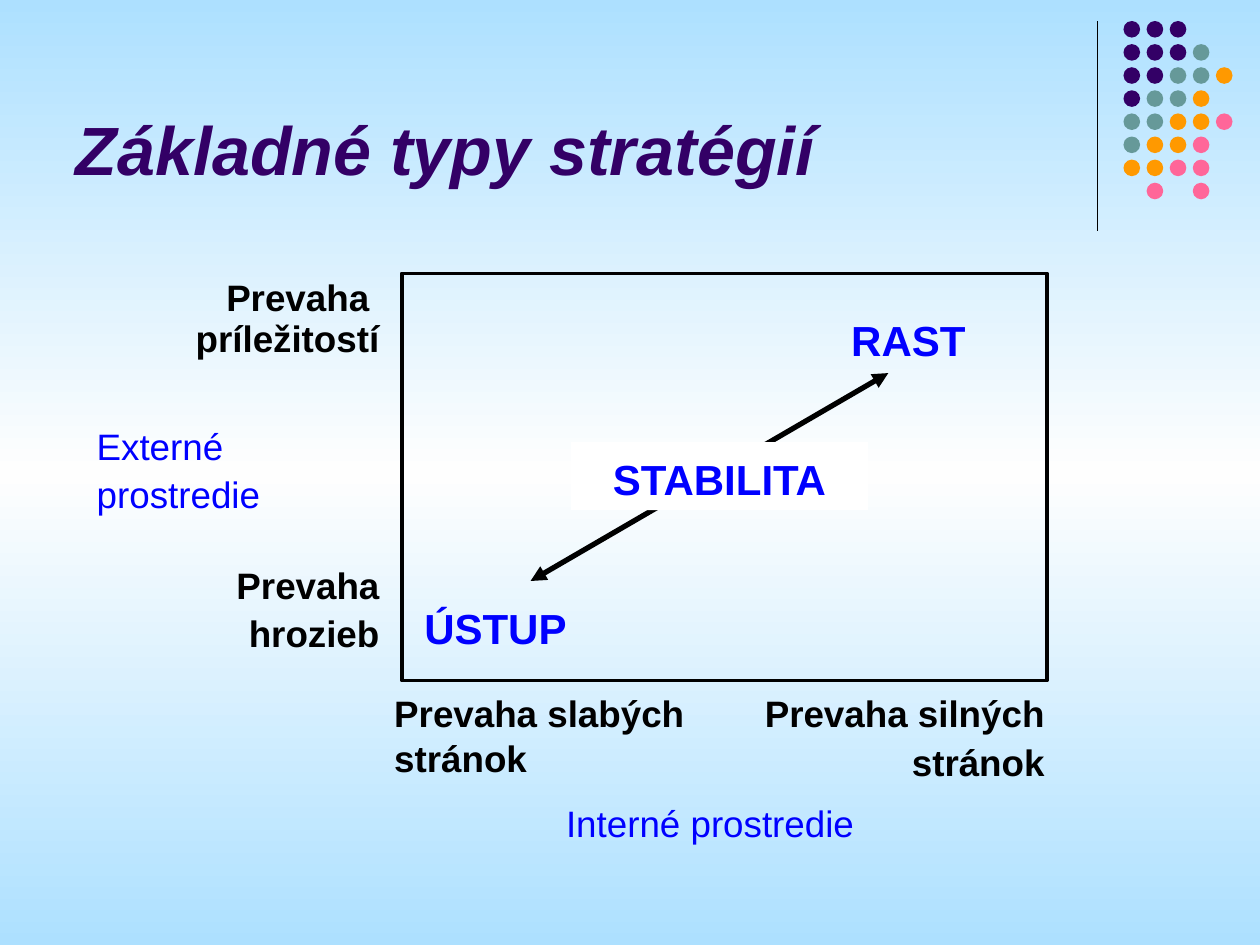
import copy

import pptx
import pptx.util
import pptx.dml.color
import pptx.enum.shapes
import pptx.enum.text
import pptx.oxml
import pptx.oxml.ns

Pt = pptx.util.Pt
SHAPE = pptx.enum.shapes.MSO_SHAPE
STRAIGHT = pptx.enum.shapes.MSO_CONNECTOR.STRAIGHT
ANCHOR = pptx.enum.text.MSO_ANCHOR
LEFT = pptx.enum.text.PP_ALIGN.LEFT
CENTER = pptx.enum.text.PP_ALIGN.CENTER
RIGHT = pptx.enum.text.PP_ALIGN.RIGHT
qn = pptx.oxml.ns.qn
NS = pptx.oxml.ns.nsdecls("a")
BLACK, BLUE, PURPLE = "000000", "0000FF", "330066"


def rgb(value):
    return pptx.dml.color.RGBColor.from_string(value)


def add_line(x1, y1, x2, y2, width):
    c = s.shapes.add_connector(STRAIGHT, Pt(x1), Pt(y1), Pt(x2), Pt(y2))
    c.line.color.rgb = rgb(BLACK)
    c.line.width = Pt(width)
    c._element.spPr.append(pptx.oxml.parse_xml(f"<a:effectLst {NS}/>"))
    return c


prs = pptx.Presentation()
prs.slide_width, prs.slide_height = Pt(720), Pt(540)
s = prs.slides.add_slide(prs.slide_layouts[5])

# Background: light blue fading to white in the middle
fill = s.background.fill
fill.gradient()
fill.gradient_angle = 270
stops = s.element.find(".//" + qn("a:gsLst"))
stops.append(copy.deepcopy(stops[0]))
for stop, position, color in zip(fill.gradient_stops, (0, 0.5, 1),
                                 ("ADE0FF", "FEFEFE", "ADE0FF")):
    stop.position = position
    stop.color.rgb = rgb(color)

# Corner decoration: rule and dot pattern
add_line(627.1, 12.2, 627.1, 131.8, 0.75)
dot_colors = {"P": PURPLE, "T": "669999", "O": "FF9900", "K": "FF6699"}
dot_rows = ["PPP", "PPPT", "PPTTO", "PTTO", "TTOOK", "TOOK", "OOKK", ".K.K"]
for row, pattern in enumerate(dot_rows):
    for col, key in enumerate(pattern):
        if key == ".":
            continue
        dot = s.shapes.add_shape(SHAPE.OVAL, Pt(642 + 13.2 * col),
                                 Pt(12 + 13.2 * row), Pt(9.5), Pt(9.5))
        dot.shadow.inherit = False
        dot.fill.solid()
        dot.fill.fore_color.rgb = rgb(dot_colors[key])
        dot.line.fill.background()

# Title
title = s.shapes.title
title.left, title.top, title.width, title.height = Pt(36), Pt(9.5), Pt(594), Pt(102)
tf = title.text_frame
tf.text = "Základné typy stratégií"
tf.auto_size = pptx.enum.text.MSO_AUTO_SIZE.NONE
tf.vertical_anchor = ANCHOR.BOTTOM
p = tf.paragraphs[0]
p.alignment = LEFT
font = p.runs[0].font
font.name, font.size, font.bold, font.italic = "Arial", Pt(39), True, True
font.color.rgb = rgb(PURPLE)

# Double-headed arrow between retreat and growth
arrow = add_line(507.6, 213.2, 303.2, 332, 3)
ln = arrow.line._get_or_add_ln()
for end in ("headEnd", "tailEnd"):
    ln.append(pptx.oxml.parse_xml(f'<a:{end} {NS} type="triangle"/>'))

# Matrix frame
frame = s.shapes.add_shape(SHAPE.RECTANGLE, Pt(229.7), Pt(156.3), Pt(368.6), Pt(232.6))
frame.shadow.inherit = False
frame.fill.background()
frame.line.color.rgb = rgb(BLACK)
frame.line.width = Pt(2.25)

# Labels: left, top, width, height, lines, last line spacing, alignment, size, color, bold
labels = [
    (48.2, 236.2, 147.6, 60.5, ["Externé", "prostredie"], 0.5, LEFT, 21, BLUE, False),
    (93.6, 151.2, 130.3, 55.4, ["Prevaha ", "príležitostí"], 0.3, RIGHT, 21, BLACK, True),
    (93.6, 315.4, 130.3, 62.6, ["Prevaha hrozieb"], 1.1, RIGHT, 21, BLACK, True),
    (218.2, 388.8, 187.2, 58.3, ["Prevaha slabých", "stránok"], 0.4, LEFT, 21, BLACK, True),
    (422.6, 388.8, 181.4, 62.6, ["Prevaha silných stránok"], 1.1, RIGHT, 21, BLACK, True),
    (462.2, 173.5, 113.8, 38.9, ["RAST"], 1.1, CENTER, 24, BLUE, True),
    (235.4, 337.7, 108, 38.9, ["ÚSTUP"], 1.1, LEFT, 24, BLUE, True),
    (326.2, 252.7, 169.9, 38.9, ["STABILITA"], 1.1, CENTER, 24, BLUE, True),
    (286.6, 451.4, 238.3, 35.3, ["Interné prostredie"], 1.1, CENTER, 21, BLUE, False),
]
for x, y, w, h, lines, last_spacing, align, size, color, bold in labels:
    sp = s.shapes.add_textbox(Pt(x), Pt(y), Pt(w), Pt(h))
    if lines == ["STABILITA"]:
        sp.fill.solid()
        sp.fill.fore_color.rgb = rgb("FFFFFF")
    tf = sp.text_frame
    tf.word_wrap = True
    tf.text = "\n".join(lines)
    for i, p in enumerate(tf.paragraphs):
        p.alignment = align
        p.line_spacing = last_spacing if i else 1.1
        if i:
            p.space_before = Pt(13.1)
        pPr = p._p.get_or_add_pPr()
        pPr.set("marL", str(Pt(27)))
        pPr.set("indent", str(Pt(-27)))
        font = p.runs[0].font
        font.name, font.size, font.bold = "Arial", Pt(size), bold
        font.color.rgb = rgb(color)

prs.save("out.pptx")
